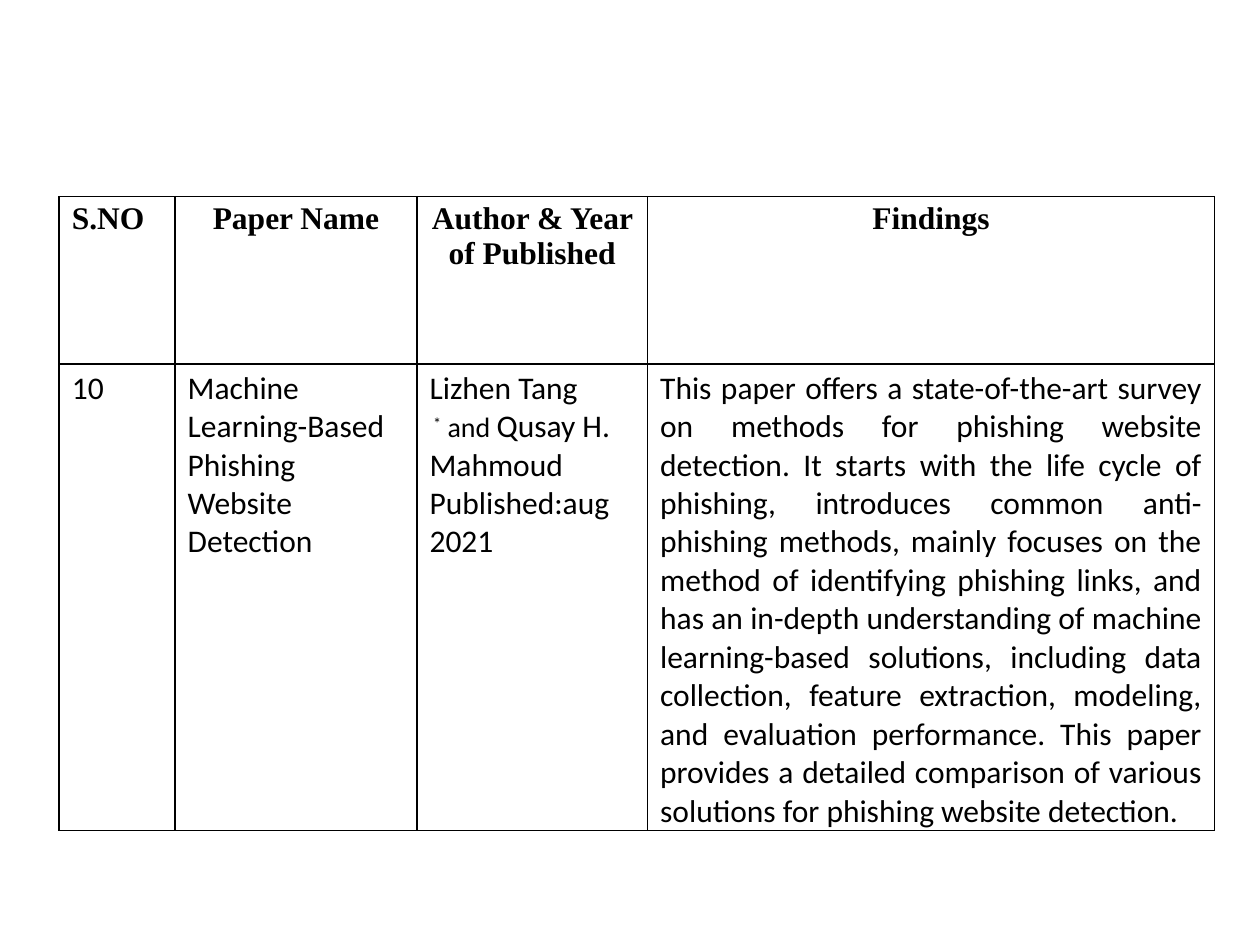
from pptx import Presentation
from pptx.dml.color import RGBColor
from pptx.enum.text import PP_ALIGN
from pptx.oxml import parse_xml
from pptx.oxml.ns import nsdecls
from pptx.util import Inches, Pt


def color(hex_string):
    return RGBColor.from_string(hex_string)


def add_border(cell, side):
    cell._tc.get_or_add_tcPr().append(parse_xml(
        f'<a:{side} {nsdecls("a")} w="{Pt(1)}"><a:solidFill>'
        f'<a:srgbClr val="000000"/></a:solidFill></a:{side}>'))


prs = Presentation()
prs.slide_width = Inches(10)
prs.slide_height = Inches(7.5)
slide = prs.slides.add_slide(prs.slide_layouts[6])

column_widths = [0.92, 1.92, 1.83, 4.5]
row_heights = [1.33, 3.7]
findings = (
    "This paper offers a state-of-the-art survey on methods for phishing website detection. "
    "It starts with the life cycle of phishing, introduces common anti-phishing methods, "
    "mainly focuses on the method of identifying phishing links, and has an in-depth "
    "understanding of machine learning-based solutions, including data collection, feature "
    "extraction, modeling, and evaluation performance. This paper provides a detailed "
    "comparison of various solutions for phishing website detection."
)
authors = [
    [("Lizhen Tang", 18, 0)],
    [("\u00a0*", 16, 30), ("\u00a0and ", 16, 0), ("Qusay H. Mahmoud", 18, 0)],
    [("Published:aug 2021", 18, 0)],
]
headings = ["S.NO", "Paper Name", "Author & Year of Published", "Findings"]
paper = ["10", "Machine Learning-Based Phishing Website Detection", authors, findings]
alignments = [
    [PP_ALIGN.LEFT, PP_ALIGN.CENTER, PP_ALIGN.CENTER, PP_ALIGN.CENTER],
    [PP_ALIGN.LEFT, PP_ALIGN.LEFT, PP_ALIGN.LEFT, PP_ALIGN.JUSTIFY],
]

survey = slide.shapes.add_table(
    2, 4, Inches(0.47), Inches(1.56),
    Inches(sum(column_widths)), Inches(sum(row_heights))).table
for column, width in zip(survey.columns, column_widths):
    column.width = Inches(width)
for row, height in zip(survey.rows, row_heights):
    row.height = Inches(height)

for row_index, entries in enumerate([headings, paper]):
    is_heading = row_index == 0
    for column_index, entry in enumerate(entries):
        cell = survey.cell(row_index, column_index)
        cell.margin_left = cell.margin_right = Inches(0.1)
        cell.margin_top = Inches(0.04)
        cell.margin_bottom = 0
        for side in ("lnL", "lnR", "lnT", "lnB"):
            add_border(cell, side)
        cell.fill.background()

        lines = [[(entry, 18, 0)]] if isinstance(entry, str) else entry
        for line_index, line in enumerate(lines):
            frame = cell.text_frame
            paragraph = frame.add_paragraph() if line_index else frame.paragraphs[0]
            paragraph.alignment = alignments[row_index][column_index]
            for text, size, baseline in line:
                run = paragraph.add_run()
                run.text = text
                run.font.size = Pt(size)
                run.font.bold = is_heading
                run.font.name = "Times New Roman" if is_heading else "Calibri"
                run.font.color.rgb = color("000000")
                if baseline:
                    run.font._element.set("baseline", str(baseline * 1000))

prs.save("out.pptx")
